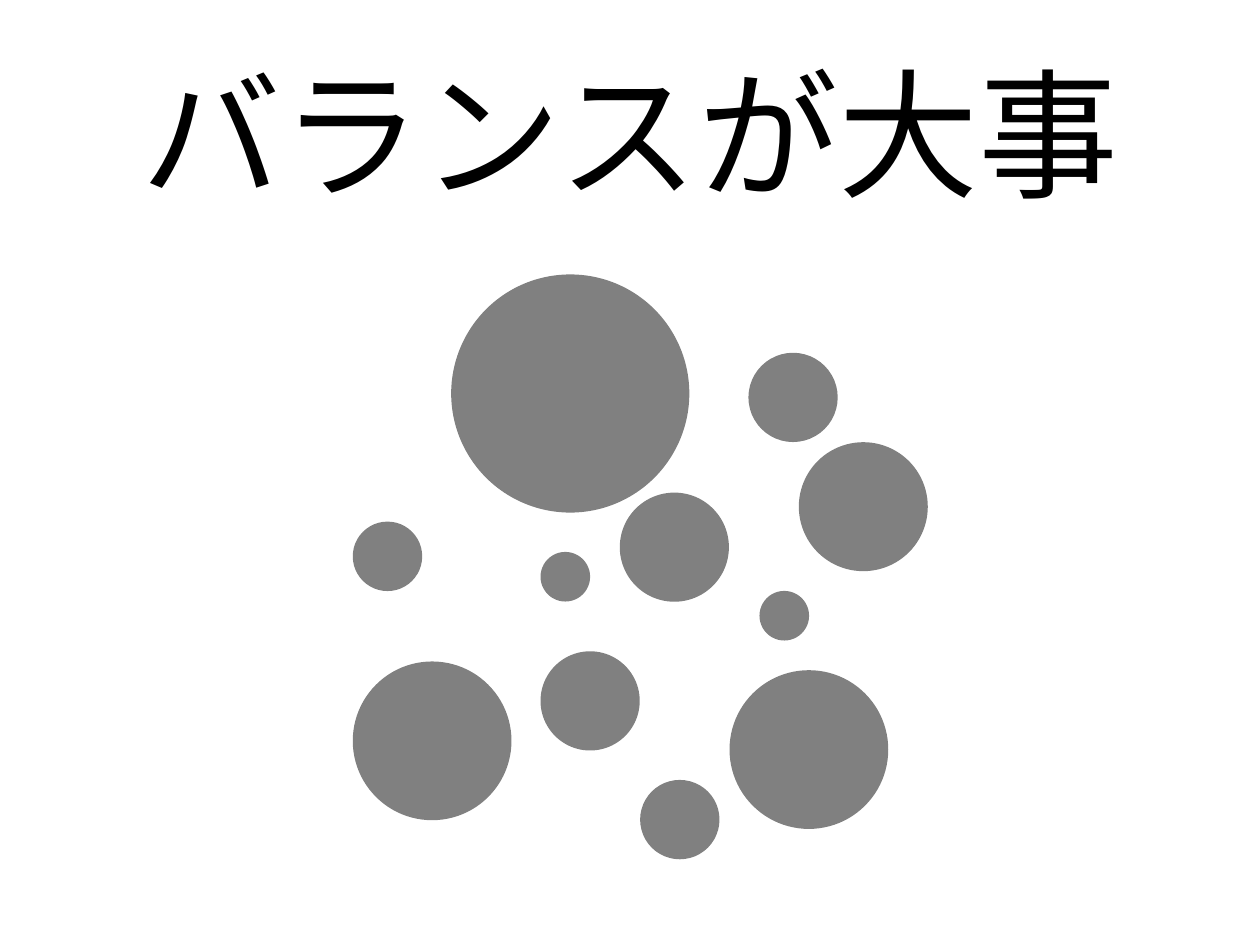
from pptx import Presentation
from pptx.dml.color import RGBColor
from pptx.enum.shapes import MSO_SHAPE as Shape
from pptx.enum.text import MSO_ANCHOR as Anchor, PP_ALIGN as Align
from pptx.util import Pt

TITLE = "バランスが大事"
BLACK, GRAY, WHITE = "000000", "808080", "FFFFFF"
UNIT = 5.67
CIRCLES = [
    (257.8, 156.8, 24),
    (308.9, 372.2, 10),
    (201.6, 298.1, 7),
    (201.6, 378, 16),
    (365.8, 445.7, 8),
    (416.9, 383, 16),
    (456.5, 252.7, 13),
    (354.2, 281.5, 11),
    (427.7, 201.6, 9),
    (308.9, 315.4, 5),
    (434, 337.7, 5),
]


def paint(fill, color):
    fill.solid()
    fill.fore_color.rgb = RGBColor.from_string(color)


def add_text(slide, text, *, left, top, width, height, size, color, font="Arial"):
    box = slide.shapes.add_textbox(Pt(left), Pt(top), Pt(width), Pt(height))
    frame = box.text_frame
    frame.word_wrap = True
    frame.vertical_anchor = Anchor.MIDDLE
    paragraph = frame.paragraphs[0]
    paragraph.alignment = Align.CENTER
    run = paragraph.add_run()
    run.text = text
    run.font.name = font
    run.font.size = Pt(size)
    run.font.color.rgb = RGBColor.from_string(color)


def add_circle(slide, left, top, diameter):
    shape = slide.shapes.add_shape(
        Shape.OVAL, Pt(left), Pt(top), Pt(diameter), Pt(diameter))
    shape.shadow.inherit = False
    paint(shape.fill, GRAY)
    shape.line.fill.background()


def main():
    """Build a slide with a large title above a scatter of circles."""
    presentation = Presentation()
    presentation.slide_width, presentation.slide_height = Pt(720), Pt(540)
    slide = presentation.slides.add_slide(presentation.slide_layouts[6])
    paint(slide.background.fill, WHITE)
    add_text(slide, TITLE, left=0, top=21.6, width=720, height=106.6,
             size=80, color=BLACK)
    for left, top, units in CIRCLES:
        add_circle(slide, left, top, units * UNIT)
    presentation.save("out.pptx")


if __name__ == "__main__":
    main()
